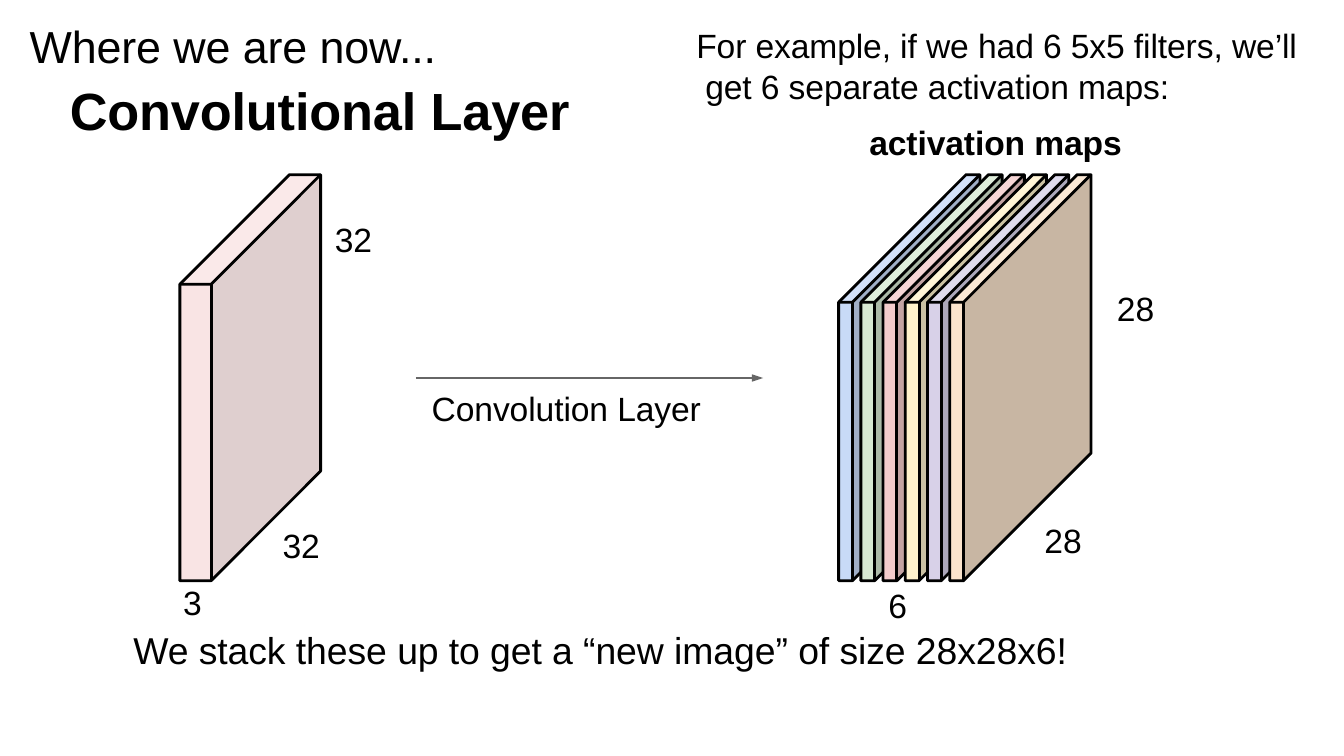
from lxml.etree import SubElement
from pptx import Presentation
from pptx.dml.color import RGBColor
from pptx.enum.shapes import MSO_CONNECTOR as Connector
from pptx.enum.text import MSO_AUTO_SIZE as AutoSize
from pptx.oxml.ns import qn
from pptx.util import Cm, Pt

FONT = "Arial"
BLACK = "000000"
GREY = "666666"
TOP, BOTTOM = 3.3, 10.97  # shared by all volumes, in cm

INPUT_COLORS = ("F4CCCC", "C3A3A3", "F6D6D6")  # front, side, top
MAP_COLORS = [
    ("C8DAF7", "A0AEC6", "D3E1F9"),
    ("D8E9D3", "ACBAA8", "DFEDDB"),
    ("F4CCCC", "C3A3A3", "F6D6D6"),
    ("FFF2CC", "CAC1A3", "FFF4D6"),
    ("D8D1E8", "ACA7BA", "DFDBED"),
    ("FBE4CD", "C8B6A3", "FBE9D6"),
]
MAP_LEFT, MAP_STEP = 15.85, 0.42

# text, left, top, width, height, size
LABELS = [
    ("32", 5.31, 9.88, 0.79, 0.84, 18),
    ("32", 6.3, 4.11, 0.79, 0.84, 18),
    ("3", 3.43, 10.97, 0.43, 0.84, 18),
    ("Convolution Layer", 8.13, 7.29, 5.18, 0.84, 18),
    ("6", 16.76, 11.02, 0.43, 0.84, 18),
    ("28", 19.71, 9.8, 0.79, 0.84, 18),
    ("28", 21.08, 5.41, 0.79, 0.84, 18),
    ("We stack these up to get a “new image” of size 28x28x6!",
     2.49, 11.81, 17.78, 0.91, 20),
]


def color(value):
    return RGBColor.from_string(value)


def add_frame(slide, left, top, width, height, inset=0.03):
    box = slide.shapes.add_textbox(Cm(left), Cm(top), Cm(width), Cm(height))
    frame = box.text_frame
    frame.word_wrap = True
    frame.auto_size = AutoSize.SHAPE_TO_FIT_TEXT
    frame.margin_left = frame.margin_right = frame.margin_bottom = 0
    frame.margin_top = Cm(inset)
    return frame


def write(frame, text, size=18, bold=False, before=1, margin=0.03, indent=0, spacing=None):
    """Fill the first paragraph of the frame, or add another one."""
    paragraph = frame.paragraphs[0] if not frame.text else frame.add_paragraph()
    paragraph.space_before = Pt(before)
    paragraph.line_spacing = spacing
    properties = paragraph._p.get_or_add_pPr()
    properties.set("marL", str(Cm(margin)))
    properties.set("indent", str(Cm(indent)))
    run = paragraph.add_run()
    run.text = text
    run.font.name = FONT
    run.font.size = Pt(size)
    run.font.bold = bold
    run.font.color.rgb = color(BLACK)
    run._r.get_or_add_rPr().set("spc", "-5")


def add_outline(slide, points, fill=None, alpha=None, closed=True):
    """Draw a filled face without a line, or a black outline without a fill."""
    start, *others = [(Cm(x), Cm(y)) for x, y in points]
    builder = slide.shapes.build_freeform(*start)
    builder.add_line_segments(others, close=closed)
    shape = builder.convert_to_shape()
    shape.shadow.inherit = False
    if fill:
        shape.fill.solid()
        shape.fill.fore_color.rgb = color(fill)
        shape.line.fill.background()
        if alpha:
            rgb = shape.fill._xPr.find(qn("a:solidFill"))[0]
            SubElement(rgb, qn("a:alpha")).set("val", str(alpha * 1000))
    else:
        shape.fill.background()
        shape.line.color.rgb = color(BLACK)
        shape.line.width = Pt(1.5)


def add_line(slide, start, end, line_color, width, arrow=False):
    line = slide.shapes.add_connector(
        Connector.STRAIGHT, Cm(start[0]), Cm(start[1]), Cm(end[0]), Cm(end[1]))
    line.line.color.rgb = color(line_color)
    line.line.width = Pt(width)
    if arrow:
        tail = SubElement(line.line._get_or_add_ln(), qn("a:tailEnd"))
        for key, value in (("type", "triangle"), ("w", "sm"), ("len", "med")):
            tail.set(key, value)
    SubElement(line._element.spPr, qn("a:effectLst"))


def add_volume(slide, left, thickness, depth, colors, alpha=None):
    right = left + thickness
    front_top = TOP + depth
    front_left, front_right = (left, front_top), (right, front_top)
    base_left, base_right = (left, BOTTOM), (right, BOTTOM)
    back_left, back_right = (left + depth, TOP), (right + depth, TOP)
    back_base = (right + depth, BOTTOM - depth)

    # Faces
    faces = [
        (front_left, front_right, base_right, base_left),
        (base_right, front_right, back_right, back_base),
        (front_right, front_left, back_left, back_right),
    ]
    for face, fill in zip(faces, colors):
        add_outline(slide, face, fill, alpha)

    # Edges
    add_outline(slide, (front_left, back_left, back_right, back_base, base_right, base_left))
    add_outline(slide, (front_left, front_right, back_right), closed=False)
    add_line(slide, front_right, base_right, BLACK, 1.5)


def main():
    deck = Presentation()
    deck.slide_width, deck.slide_height = Cm(25.4), Cm(14.28)
    slide = deck.slides.add_slide(deck.slide_layouts[6])

    # Title
    title = add_frame(slide, 0.53, 0.23, 10.31, 2.46, inset=0.13)
    write(title, "Where we are now...", size=24, before=3.5)
    write(title, "Convolutional Layer", size=28, bold=True, before=3, margin=0.79)

    # Input volume and activation maps
    add_volume(slide, 3.4, 0.59, 2.07, INPUT_COLORS, alpha=52)
    for index, colors in enumerate(MAP_COLORS):
        add_volume(slide, MAP_LEFT + index * MAP_STEP, 0.26, 2.41, colors)

    # Convolution arrow
    add_line(slide, (7.86, 7.14), (14.42, 7.14), GREY, 0.75, arrow=True)

    # Example and heading of the maps
    example = add_frame(slide, 13.13, 0.43, 11.48, 2.67)
    write(example, "For example, if we had 6 5x5 filters, we’ll get 6 separate activation maps:",
          before=0.8, margin=0.2, indent=-0.17, spacing=1.01)
    write(example, "activation maps", bold=True, before=8.4, margin=3.3)

    # Dimensions and captions
    for text, left, top, width, height, size in LABELS:
        write(add_frame(slide, left, top, width, height), text, size=size)

    deck.save("out.pptx")


if __name__ == "__main__":
    main()
